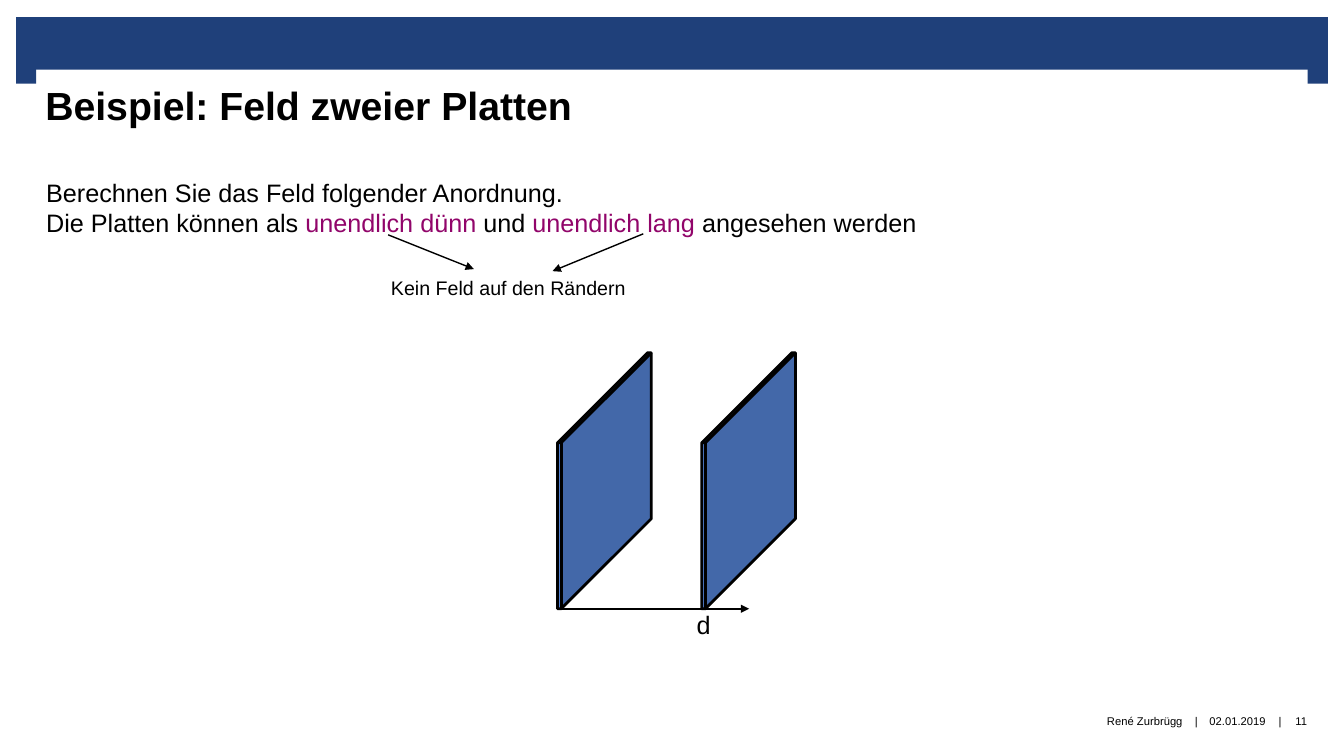
from pptx import Presentation
from pptx.dml.color import RGBColor
from pptx.enum.shapes import MSO_CONNECTOR, MSO_SHAPE
from pptx.enum.text import MSO_ANCHOR, PP_ALIGN
from pptx.oxml.ns import qn
from pptx.util import Inches, Pt
from lxml import etree

LINE = MSO_CONNECTOR.STRAIGHT
RECT, CUBE = MSO_SHAPE.RECTANGLE, MSO_SHAPE.CUBE
TOP, MIDDLE = MSO_ANCHOR.TOP, MSO_ANCHOR.MIDDLE
LEFT, CENTER, RIGHT = PP_ALIGN.LEFT, PP_ALIGN.CENTER, PP_ALIGN.RIGHT

NAVY = RGBColor(0x1F, 0x40, 0x7A)
BLUE = RGBColor(0x54, 0x82, 0xD4)
PURPLE = RGBColor(0x91, 0x05, 0x6A)
BLACK = RGBColor(0, 0, 0)
FONT = "Arial"


def add_text(slide, box, parts, size, bold=False, align=LEFT, anchor=TOP,
             inset=(0.1, 0.05, 0.1, 0.05), wrap=False):
    frame = slide.shapes.add_textbox(*map(Inches, box)).text_frame
    frame.word_wrap = wrap
    frame.vertical_anchor = anchor
    (frame.margin_left, frame.margin_top,
     frame.margin_right, frame.margin_bottom) = map(Inches, inset)
    para = frame.paragraphs[0]
    para.alignment = align
    para.font.name = FONT
    para.font.size = Pt(size)
    para.font.bold = bold
    para.font.color.rgb = BLACK
    for part, color in parts:
        if part == "\n":
            para.add_line_break()
            continue
        run = para.add_run()
        run.text = part
        if color != BLACK:
            run.font.color.rgb = color


def add_solid(slide, kind, box, fill, width=0):
    shape = slide.shapes.add_shape(kind, *map(Inches, box))
    shape.shadow.inherit = False
    shape.fill.solid()
    shape.fill.fore_color.rgb = fill
    if width:
        shape.line.color.rgb = BLACK
        shape.line.width = Pt(width)
    else:
        shape.line.fill.background()
    return shape


def add_arrow(slide, start, end, width):
    arrow = slide.shapes.add_connector(LINE, *map(Inches, start + end))
    arrow.line.color.rgb = BLACK
    arrow.line.width = Pt(width)
    line = arrow.line._get_or_add_ln()
    etree.SubElement(line, qn("a:tailEnd"), type="triangle")
    etree.SubElement(arrow._element.spPr, qn("a:effectLst"))


def add_banner(slide, left, top, width):
    tab = 0.2
    add_solid(slide, RECT, (left, top, width, 0.52), NAVY)
    for x in (left, left + width - tab):
        add_solid(slide, RECT, (x, top + 0.48, tab, 0.18), NAVY)


def add_footer(slide, left, top, height):
    none = (0, 0, 0, 0)
    side = (0.04, 0.05, 0.04, 0.05)
    items = (
        ("René Zurbrügg", 0, 5.07, RIGHT, none),
        ("|", 5.13, 0.15, CENTER, side),
        ("02.01.2019", 5.28, 0.67, CENTER, none),
        ("|", 5.96, 0.15, CENTER, side),
        ("11", 6.05, 0.39, CENTER, none),
    )
    for text, x, width, align, inset in items:
        add_text(slide, (left + x, top, width, height), [(text, BLACK)], 8,
                 align=align, anchor=MIDDLE, inset=inset, wrap=True)


def add_task(slide, left, top):
    parts = (
        ("Berechnen Sie das Feld folgender Anordnung. ", BLACK),
        ("\n", BLACK),
        ("Die Platten können als ", BLACK),
        ("unendlich dünn", PURPLE),
        (" und ", BLACK),
        ("unendlich lang", PURPLE),
        (" angesehen werden", BLACK),
    )
    add_text(slide, (left, top, 9.04, 0.71), parts, 18)
    add_arrow(slide, (left + 3.49, top + 0.62), (left + 4.34, top + 0.96), 1)
    add_arrow(slide, (left + 6.02, top + 0.61), (left + 5.12, top + 0.98), 1)
    add_text(slide, (left + 3.42, top + 0.98, 2.54, 0.34),
             [("Kein Feld auf den Rändern", BLACK)], 14)


def add_plates(slide, left, top, height):
    gap = 1.43
    base = top + height

    def add_plate(x):
        plate = add_solid(slide, CUBE, (x, top, 0.93, height), BLUE, 2)
        plate.adjustments[0] = 0.961

    add_plate(left)
    add_arrow(slide, (left, base), (left + 1.9, base), 1.5)
    add_text(slide, (left + 1.28, base - 0.04, 0.29, 0.34),
             [("d", BLACK)], 18)
    add_plate(left + gap)


def main():
    deck = Presentation()
    deck.slide_width = Inches(13.33)
    deck.slide_height = Inches(7.5)
    slide = deck.slides.add_slide(deck.slide_layouts[6])
    add_banner(slide, 0.16, 0.17, 13.01)
    add_footer(slide, 6.66, 6.9, 0.5)
    add_text(slide, (0.29, 0.69, 10.5, 0.63),
             [("Beispiel: Feld zweier Platten", BLACK)], 28, bold=True,
             inset=(0.16, 0.12, 0.16, 0), wrap=True)
    add_plates(slide, 5.53, 3.5, 2.54)
    add_task(slide, 0.36, 1.71)
    deck.save("out.pptx")


if __name__ == "__main__":
    main()
